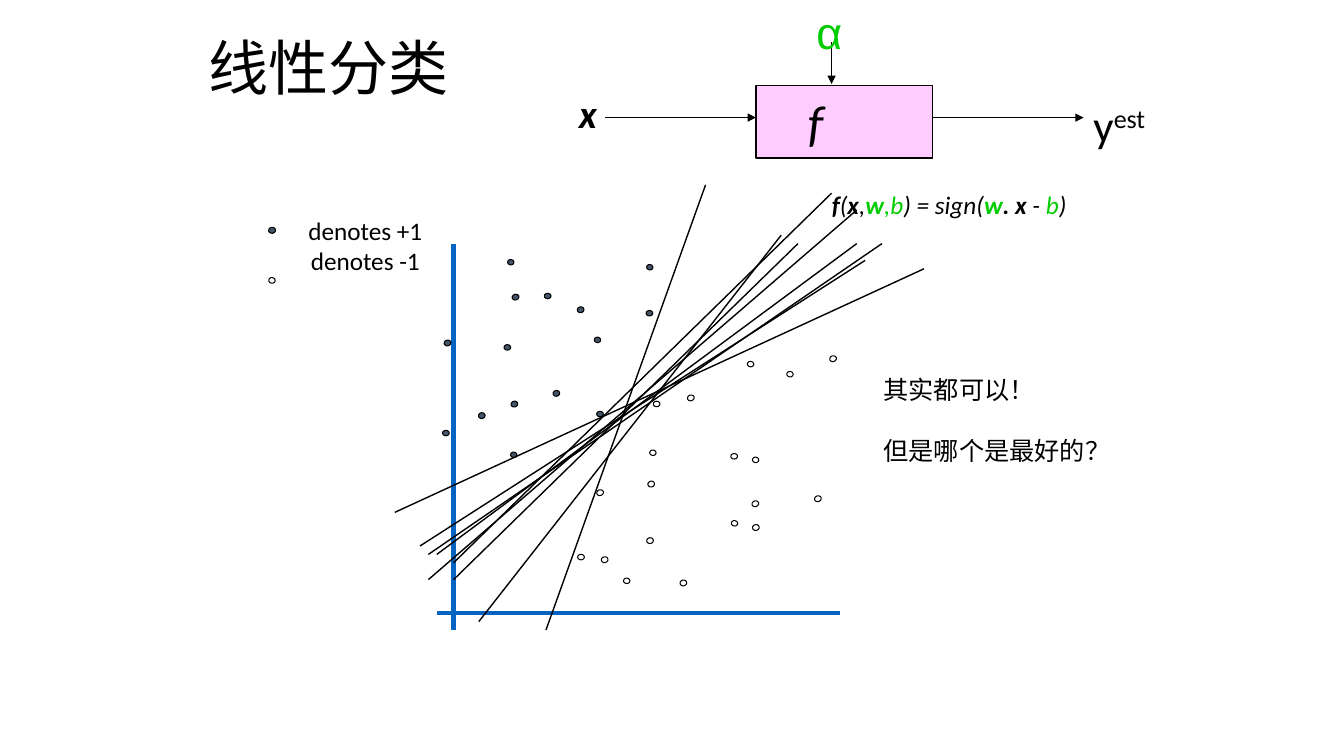
from dataclasses import dataclass

from lxml import etree
from pptx import Presentation
from pptx.dml.color import RGBColor
from pptx.enum import shapes, text
from pptx.oxml import ns
from pptx.util import Pt

COLORS = {"ink": "000000", "param": "00CC00", "box": "FFCCFF",
          "axis": "0563C1", "plus": "44546A", "minus": "FFFFFF"}
CENTER, LEFT = text.PP_ALIGN.CENTER, text.PP_ALIGN.LEFT


@dataclass
class Run:
    text: str
    size: float = 18
    color: str = "ink"
    bold: bool = False
    italic: bool = False
    font: str = "Calibri"
    superscript: bool = False


@dataclass
class Label:
    box: tuple
    paragraphs: list
    align: text.PP_ALIGN = LEFT
    gap: float = 0


@dataclass
class Line:
    start: tuple
    end: tuple
    color: str = "ink"
    width: float = 1
    arrow: bool = False


@dataclass
class DotGroup:
    """Dots of one size and tilt, placed by their top-left corners."""
    size: tuple
    tilt: float
    plus: list
    minus: list


def rgb(name: str) -> RGBColor:
    return RGBColor.from_string(COLORS[name])


def add_runs(p, runs: list) -> None:
    for run in runs:
        r = p.add_run()
        r.text = run.text
        r.font.name, r.font.size = run.font, Pt(run.size)
        r.font.bold, r.font.italic = run.bold, run.italic
        r.font.color.rgb = rgb(run.color)
        if run.superscript:
            r._r.get_or_add_rPr().set("baseline", "30000")


def add_label(slide, label: Label):
    sp = slide.shapes.add_textbox(*map(Pt, label.box))
    tf = sp.text_frame
    tf.word_wrap = True
    for i, runs in enumerate(label.paragraphs):
        p = tf.add_paragraph() if i else tf.paragraphs[0]
        p.alignment = label.align
        if i and label.gap:
            p.space_before = Pt(label.gap)
        add_runs(p, runs)
    return sp


def add_line(slide, line: Line) -> None:
    sp = slide.shapes.add_connector(shapes.MSO_CONNECTOR.STRAIGHT,
                                    *map(Pt, line.start + line.end))
    sp.line.color.rgb, sp.line.width = rgb(line.color), Pt(line.width)
    if line.arrow:
        etree.SubElement(sp.line._get_or_add_ln(), ns.qn("a:tailEnd"), type="triangle")
    etree.SubElement(sp._element.spPr, ns.qn("a:effectLst"))


def add_filled(slide, kind, box: tuple, fill: str, line_width: float):
    sp = slide.shapes.add_shape(kind, *map(Pt, box))
    sp.shadow.inherit = False
    sp.fill.solid()
    sp.fill.fore_color.rgb = rgb(fill)
    sp.line.color.rgb, sp.line.width = rgb("ink"), Pt(line_width)
    return sp


def add_dots(slide, group: DotGroup) -> None:
    for fill, corners in (("plus", group.plus), ("minus", group.minus)):
        for corner in corners:
            sp = add_filled(slide, shapes.MSO_SHAPE.OVAL, corner + group.size, fill, 0.75)
            sp.rotation = group.tilt


def add_function_box(slide) -> None:
    sp = add_filled(slide, shapes.MSO_SHAPE.RECTANGLE, (540, 61, 126, 52), "box", 1)
    tf = sp.text_frame
    tf.margin_right = Pt(48)
    tf.vertical_anchor = text.MSO_ANCHOR.MIDDLE
    tf.paragraphs[0].alignment = CENTER
    add_runs(tf.paragraphs[0], [Run("f", 36, italic=True)])


def add_title(slide) -> None:
    font = "Noto Sans CJK SC"
    sp = add_label(slide, Label((132, 24, 366, 54), [[Run("线性分类", 42.9, font=font)]]))
    tf = sp.text_frame
    tf.margin_left = Pt(16.8)
    tf.vertical_anchor = text.MSO_ANCHOR.MIDDLE
    p = tf.paragraphs[0]
    p.line_spacing = 0.9
    etree.SubElement(p.runs[0]._r.get_or_add_rPr(), ns.qn("a:ea"), typeface=font)


FLOW_ARROWS = [Line((432, 84), (540, 84), arrow=True),
               Line((594, 30), (594, 60), arrow=True),
               Line((666, 84), (774, 84), arrow=True)]
AXES = [Line((324, 174), (324, 450), "axis", 3),
        Line((312, 438), (600, 438), "axis", 3)]
SEPARATORS = [Line(start, end) for start, end in (
    ((390, 450), (504, 132)), ((300, 390), (618, 186)), ((324, 414), (570, 174)),
    ((282, 366), (660, 192)), ((312, 396), (612, 174)), ((306, 414), (612, 150)),
    ((324, 402), (594, 138)), ((342, 444), (558, 168)), ((306, 396), (630, 174)))]

LEGEND = [DotGroup((4.3, 5), 79.6, [(192.2, 162)], []),
          DotGroup((4.1, 4.6), 98.3, [], [(192.2, 198)])]
SAMPLES = [
    DotGroup((4.8, 3.9), 0,
             [(316.1, 307.4), (461.5, 221.8), (388.8, 209.5), (426.2, 293.8), (360, 246.2)],
             [(412.6, 396), (466.6, 286.6), (522, 324)]),
    DotGroup((4.9, 4.1), 341.4,
             [(365.8, 210.2), (365, 286.6)],
             [(426.2, 349.9), (592.6, 254.2), (537.1, 357.8), (491, 282.2), (581.8, 354.2)]),
    DotGroup((3.9, 4.6), 98.3,
             [(424.8, 240.5), (365, 322.6), (462.2, 188.6), (362.9, 185)],
             [(445.7, 412.6), (537.8, 326.2), (464.4, 321.1), (562.3, 265),
              (534.2, 257.8), (522.7, 371.5)]),
    DotGroup((4.2, 4.8), 79.6,
             [(395.3, 278.6), (342, 294.5), (412.6, 218.9), (317.5, 242.6)],
             [(486, 414), (462.2, 383.8), (463, 343.4), (429.8, 397.4), (537.8, 374.4)]),
]

FORMULA = [Run(words, 18, color, bold, True) for words, color, bold in (
    ("f", "ink", True), ("(", "ink", False), ("x", "ink", True), (",", "ink", False),
    ("w", "param", True), (",b", "param", False), (") = sign(", "ink", False),
    ("w", "param", True), (". x ", "ink", True), ("- ", "ink", False),
    ("b", "param", False), (")", "ink", False))]
LABELS = [
    Label((396, 60, 48, 41), [[Run("x", 28, bold=True, italic=True)]], CENTER),
    Label((576, 0, 30, 45), [[Run("α", 32, "param", font="Arial")]], CENTER),
    Label((774, 66, 66, 45), [[Run("y", 32), Run("est", 32, superscript=True)]]),
    Label((186, 150, 150, 51), [[Run("denotes +1")], [Run("denotes -1")]], CENTER),
    Label((552, 132, 252, 29), [FORMULA], CENTER),
    Label((624, 264, 174, 73), [[Run("其实都可以！")], [Run("但是哪个是最好的？")]], gap=22),
]


def main() -> None:
    prs = Presentation()
    prs.slide_width, prs.slide_height = Pt(960), Pt(540)
    slide = prs.slides.add_slide(prs.slide_layouts[6])
    add_function_box(slide)
    for line in FLOW_ARROWS + AXES:
        add_line(slide, line)
    for group in LEGEND + SAMPLES:
        add_dots(slide, group)
    for line in SEPARATORS:
        add_line(slide, line)
    for label in LABELS:
        add_label(slide, label)
    add_title(slide)
    prs.save("out.pptx")


if __name__ == "__main__":
    main()
